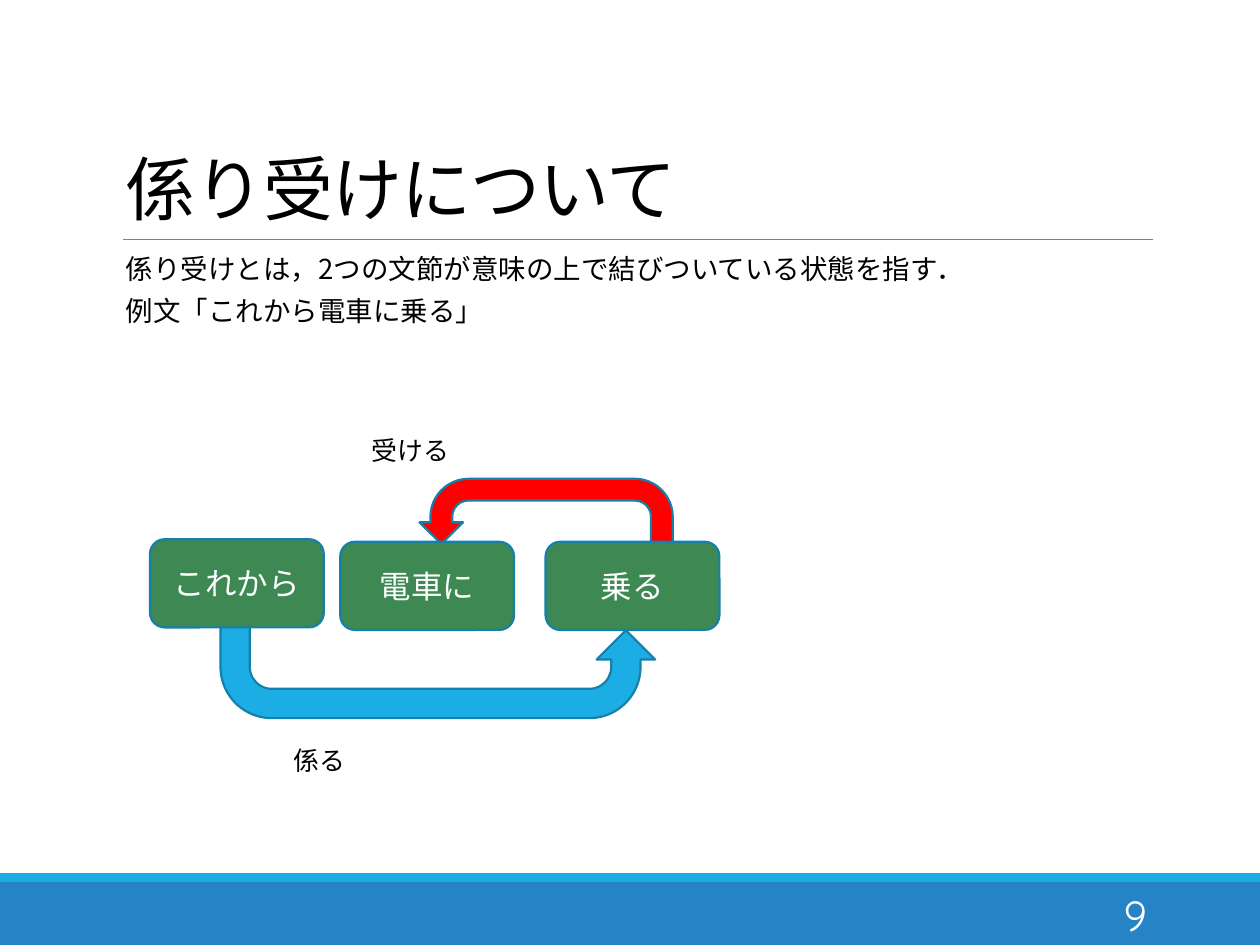
from lxml.etree import SubElement
from pptx import Presentation
from pptx.dml.color import RGBColor
from pptx.enum.shapes import MSO_CONNECTOR, MSO_SHAPE
from pptx.enum.text import MSO_ANCHOR, PP_ALIGN
from pptx.oxml.ns import qn
from pptx.util import Inches, Pt

COLUMNS, ROWS = 100, 75
CELL = Inches(10) // COLUMNS
LEFT, CONTENT_WIDTH = 9, 82.5
BOX_WIDTH, BOX_HEIGHT = 13.8, 7
COLORS = {
    "text": "000000",
    "light": "FFFFFF",
    "rule": "808080",
    "footer": "2683C6",
    "accent": "1CADE4",
    "outline": "1580A9",
    "phrase": "3E8853",
    "receive": "FF0000",
}
JAPANESE, NUMERAL = "Noto Sans CJK JP", "Quicksand"


def color(name):
    return RGBColor.from_string(COLORS[name])


def grid(*cells):
    return [round(CELL * cell) for cell in cells]


def set_attributes(target, values):
    for name, value in values.items():
        setattr(target, name, value)


def write(shape, lines, size, ink="text", font=JAPANESE, spacing=None, frame=None, **paragraph_format):
    """Fill a shape with one paragraph per line; spacing is in hundredths of a point."""
    text_frame = shape.text_frame
    set_attributes(text_frame, {"word_wrap": True, "vertical_anchor": MSO_ANCHOR.MIDDLE, **(frame or {})})
    for index, line in enumerate(lines):
        paragraph = text_frame.add_paragraph() if index else text_frame.paragraphs[0]
        set_attributes(paragraph, paragraph_format)
        run = paragraph.add_run()
        run.text = line
        set_attributes(run.font, {"size": Pt(size), "name": font})
        run.font.color.rgb = color(ink)
        properties = run.font._element
        SubElement(properties, qn("a:ea")).set("typeface", font)
        if spacing is not None:
            properties.set("spc", str(spacing))


def add_text(slide, place, lines, size, **options):
    box = slide.shapes.add_textbox(*grid(*place))
    write(box, lines, size, **options)
    return box


def add_filled(slide, kind, place, fill, outline=None):
    shape = slide.shapes.add_shape(kind, *grid(*place))
    shape.shadow.inherit = False
    shape.fill.solid()
    shape.fill.fore_color.rgb = color(fill)
    if outline:
        shape.line.color.rgb = color(outline)
        shape.line.width = Pt(1.25)
    else:
        shape.line.fill.background()
    return shape


def add_turn_arrow(slide, place, fill, flip):
    arrow = add_filled(slide, MSO_SHAPE.U_TURN_ARROW, place, fill, "outline")
    arrow._element.spPr.find(qn("a:xfrm")).set(flip, "1")


def add_phrase(slide, column, row, phrase):
    box = add_filled(slide, MSO_SHAPE.ROUNDED_RECTANGLE, (column, row, BOX_WIDTH, BOX_HEIGHT),
                     "phrase", "outline")
    write(box, [phrase], 18, ink="light", alignment=PP_ALIGN.CENTER)


def add_rule(slide, start, end, row):
    rule = slide.shapes.add_connector(MSO_CONNECTOR.STRAIGHT, *grid(start, row, end, row))
    rule.line.color.rgb = color("rule")
    rule.line.width = Pt(0.5)
    SubElement(rule._element.spPr, qn("a:effectLst"))


def add_footer(slide, number):
    add_filled(slide, MSO_SHAPE.RECTANGLE, (0, 70, COLUMNS, 5), "footer")
    add_filled(slide, MSO_SHAPE.RECTANGLE, (0, 69.3, COLUMNS, 0.7), "accent")
    add_text(slide, (81.2, 70.6, 10.8, 4), [number], 24, ink="light", font=NUMERAL,
             alignment=PP_ALIGN.RIGHT)


def add_explanation(slide):
    add_text(slide, (LEFT, 8.8, CONTENT_WIDTH, 9.9), ["係り受けについて"], 40, spacing=-50,
             frame={"vertical_anchor": MSO_ANCHOR.BOTTOM}, line_spacing=0.85)
    add_rule(slide, 9.8, 91.5, 19)
    add_text(slide, (LEFT, 20.2, CONTENT_WIDTH, 8),
             ["係り受けとは，2つの文節が意味の上で結びついている状態を指す．", "例文「これから電車に乗る」"],
             15.7, frame={"vertical_anchor": MSO_ANCHOR.TOP},
             line_spacing=0.7, space_before=Pt(9.5), space_after=Pt(1.5))


def add_dependency_diagram(slide):
    add_turn_arrow(slide, (33.3, 38, 20.1, 6.9), "receive", "flipH")
    add_turn_arrow(slide, (17.5, 47.7, 34.5, 9.3), "accent", "flipV")
    for column, row, phrase in ((11.9, 42.8, "これから"), (27, 43, "電車に"), (43.3, 43, "乗る")):
        add_phrase(slide, column, row, phrase)
    for column, row, label in ((28.5, 33.7, "受ける"), (22.3, 58.3, "係る")):
        add_text(slide, (column, row, 10, 4), [label], 14.8)


def main():
    presentation = Presentation()
    presentation.slide_width, presentation.slide_height = grid(COLUMNS, ROWS)
    slide = presentation.slides.add_slide(presentation.slide_layouts[6])
    add_footer(slide, "9")
    add_explanation(slide)
    add_dependency_diagram(slide)
    presentation.save("out.pptx")


if __name__ == "__main__":
    main()
